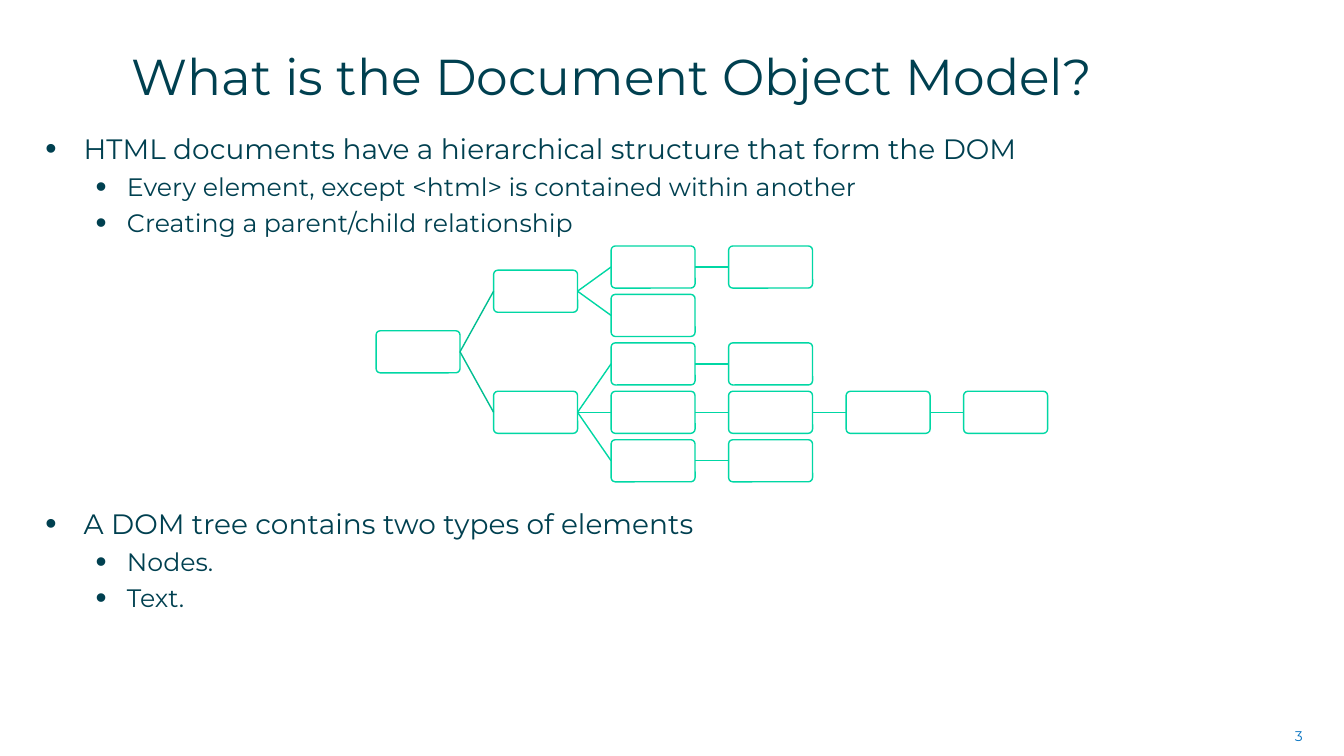
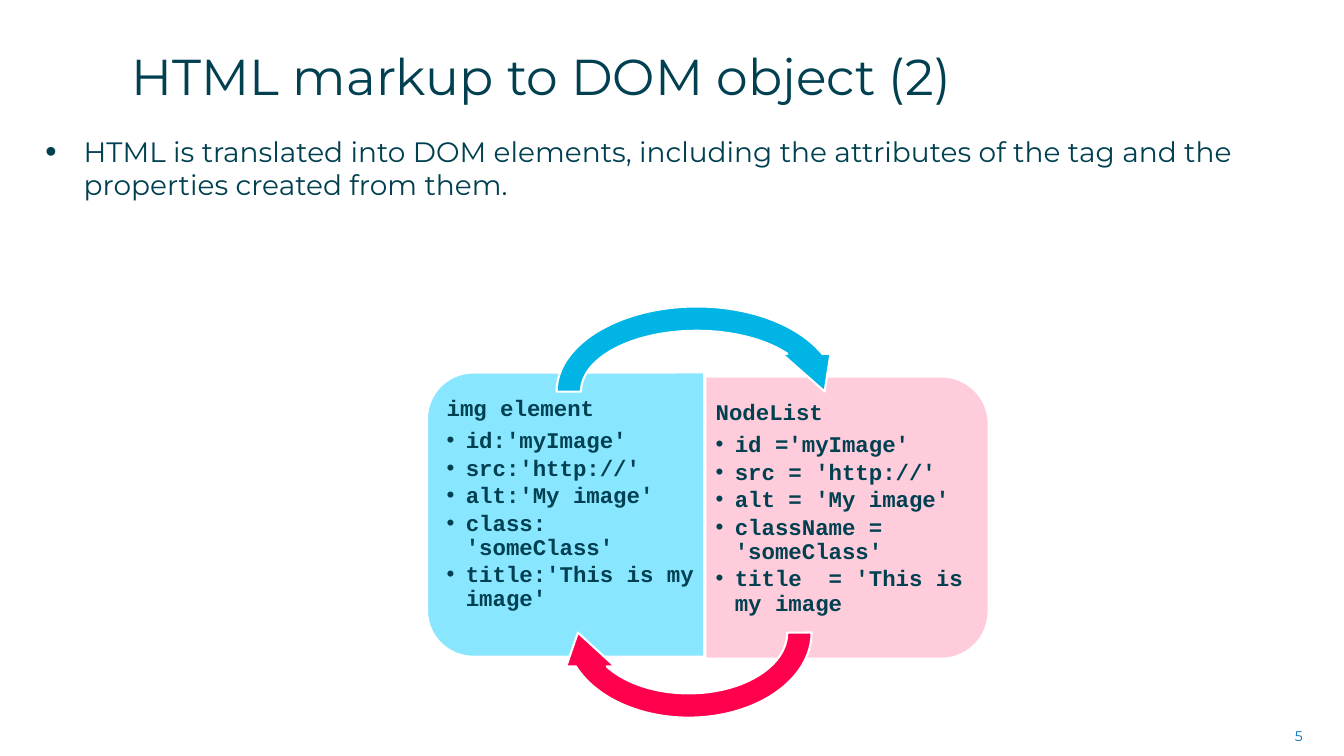
from dataclasses import dataclass

from lxml import etree
from pptx import Presentation
from pptx.dml.color import RGBColor
from pptx.enum.shapes import MSO_CONNECTOR, MSO_SHAPE
from pptx.enum.text import MSO_ANCHOR, PP_ALIGN
from pptx.oxml.ns import qn
from pptx.util import Inches, Pt

STRAIGHT = MSO_CONNECTOR.STRAIGHT
ROUNDED = MSO_SHAPE.ROUNDED_RECTANGLE
TWO_ROUNDED = MSO_SHAPE.ROUND_2_SAME_RECTANGLE
CIRCULAR = MSO_SHAPE.CIRCULAR_ARROW
TOP, MIDDLE, BOTTOM = MSO_ANCHOR.TOP, MSO_ANCHOR.MIDDLE, MSO_ANCHOR.BOTTOM
RIGHT = PP_ALIGN.RIGHT
SIDE_LEFT, SIDE_RIGHT = 1, 3


@dataclass(frozen=True)
class Theme:
    ink: str = "004050"
    number: str = "0070C0"
    white: str = "FFFFFF"
    node: str = "00D7A4"
    root_link: str = "00BE91"
    sky: str = "89E6FF"
    pink: str = "FFCCDB"
    blue: str = "00B5E5"
    red: str = "FF004C"
    sans: str = "Montserrat"
    mono: str = "Courier New"
    bullet: str = "Arial"


T = Theme()
SLIDE_W, SLIDE_H = 13.33, 7.5
TITLE_BOX = (1.21, 0.41, 11.72, 0.69)
BODY_BOX = (0.45, 1.33, 12.47, 5.75)
NUMBER_BOX = (9.91, 7.1, 3.11, 0.4)

# Text styles: font and paragraph values, and (size %, left, hanging) of the bullet
STYLES = {
    "title": {"font": {"name": T.sans, "size": Pt(36)}, "color": T.ink,
              "para": {"line_spacing": Pt(42)}},
    "number": {"font": {"name": T.sans, "size": Pt(10)}, "color": T.number,
               "para": {"alignment": RIGHT}},
    "point": {"font": {"name": T.sans, "size": Pt(20)}, "color": T.ink,
              "para": {"line_spacing": Pt(22), "space_before": Pt(6),
                       "space_after": Pt(6)},
              "bullet": (115, 0.38, 0.38)},
    "subpoint": {"font": {"name": T.sans, "size": Pt(18)}, "color": T.ink,
                 "para": {"level": 1, "line_spacing": Pt(14),
                          "space_before": Pt(6), "space_after": Pt(6)},
                 "bullet": (125, 0.81, 0.31)},
    "card_head": {"font": {"name": T.mono, "size": Pt(16), "bold": True},
                  "color": T.ink,
                  "para": {"line_spacing": 0.9, "space_after": Pt(5.6)}},
    "card_item": {"font": {"name": T.mono, "size": Pt(16), "bold": True},
                  "color": T.ink,
                  "para": {"level": 1, "line_spacing": 0.9,
                           "space_after": Pt(2.4)},
                  "bullet": (100, 0.19, 0.19)},
}

# Each node is the list of its children
LEAF = []
HEAD = [[LEAF], LEAF]
BODY = [[LEAF], [[[LEAF]]], [LEAF]]
DOM_TREE = [HEAD, BODY]


def set_all(target, values):
    for name, value in values.items():
        setattr(target, name, value)


def add_bullet(p, color, size, left, hanging):
    pPr = p._p.get_or_add_pPr()
    pPr.set("marL", str(Inches(left)))
    pPr.set("indent", str(-Inches(hanging)))
    clr = etree.SubElement(pPr, qn("a:buClr"))
    etree.SubElement(clr, qn("a:srgbClr")).set("val", color)
    etree.SubElement(pPr, qn("a:buSzPct")).set("val", str(size * 1000))
    etree.SubElement(pPr, qn("a:buFont")).set("typeface", T.bullet)
    etree.SubElement(pPr, qn("a:buChar")).set("char", "•")


def add_text(slide, box, lines, anchor=TOP, insets=(0.1, 0.05, 0.1, 0.05)):
    """lines holds (style, text) or (style, text, changed paragraph values)."""
    tf = slide.shapes.add_textbox(*map(Inches, box)).text_frame
    set_all(tf, {"word_wrap": True, "vertical_anchor": anchor})
    sides = ("margin_left", "margin_top", "margin_right", "margin_bottom")
    set_all(tf, dict(zip(sides, map(Inches, insets))))
    for i, (name, text, *changes) in enumerate(lines):
        style = STYLES[name]
        p = tf.add_paragraph() if i else tf.paragraphs[0]
        set_all(p, style["para"])
        for change in changes:
            set_all(p, change)
        if "bullet" in style:
            add_bullet(p, style["color"], *style["bullet"])
        r = p.add_run()
        r.text = text
        set_all(r.font, style["font"])
        r.font.color.rgb = RGBColor.from_string(style["color"])


def add_shape(slide, kind, box, fill, line, width, adjust, rotation=0):
    sp = slide.shapes.add_shape(kind, *map(Inches, box))
    sp.shadow.inherit = False
    sp.fill.solid()
    sp.fill.fore_color.rgb = RGBColor.from_string(fill)
    sp.line.color.rgb = RGBColor.from_string(line)
    sp.line.width = Pt(width)
    sp.rotation = rotation
    for i, value in enumerate(adjust):
        sp.adjustments[i] = value
    return sp


def add_link(slide, parent, child, color):
    link = slide.shapes.add_connector(STRAIGHT, 0, 0, 0, 0)
    link.begin_connect(parent, SIDE_RIGHT)
    link.end_connect(child, SIDE_LEFT)
    link.line.color.rgb = RGBColor.from_string(color)
    link.line.width = Pt(1)
    etree.SubElement(link._element.spPr, qn("a:effectLst"))


def add_frame(prs, title, number, body):
    """Blank slide with the shared title, body text and slide number."""
    slide = prs.slides.add_slide(prs.slide_layouts[6])
    add_text(slide, NUMBER_BOX, [("number", number)], MIDDLE)
    add_text(slide, BODY_BOX, body, insets=(0, 0, 0, 0))
    add_text(slide, TITLE_BOX, [("title", title)], BOTTOM)
    return slide


def count_leaves(node):
    return sum(map(count_leaves, node)) or 1


def count_levels(node):
    return 1 + max(map(count_levels, node), default=0)


def add_tree(slide, box, root):
    """Leaves fill the rows; each parent sits midway between its children."""
    x, y, w, h = box
    col_pitch, row_pitch = 1.4, 1.15
    node_w = w / (col_pitch * (count_levels(root) - 1) + 1)
    node_h = h / (row_pitch * (count_leaves(root) - 1) + 1)

    def add_branch(node, col, first_row):
        branches, row = [], first_row
        for child in node:
            branches.append(add_branch(child, col + 1, row))
            row += count_leaves(child)
        rows = [r for _, r in branches] or [first_row]
        mid = (rows[0] + rows[-1]) / 2
        place = (x + col * col_pitch * node_w, y + mid * row_pitch * node_h,
                 node_w, node_h)
        sp = add_shape(slide, ROUNDED, place, T.white, T.node, 1, [0.1])
        for child_sp, _ in branches:
            add_link(slide, sp, child_sp, T.node if col else T.root_link)
        return sp, mid

    add_branch(root, 0, 0)


def add_card(slide, box, fill, rotation, text_box, insets, head, items):
    """Panel turned sideways, so its rounded corners face outwards."""
    add_shape(slide, TWO_ROUNDED, box, fill, T.white, 1.5, [0.167, 0], rotation)
    lines = [("card_head", head)] + [("card_item", item) for item in items]
    add_text(slide, text_box, lines, insets=insets)


def add_exchange(slide, box):
    """Two cards side by side with an arrow above and one below."""
    x, y, w, h = box
    half = w / 2
    add_card(slide, (x, y, 2.82, 2.75), T.sky, 270,
             (x + 0.16, y + 0.1, 2.62, 2.55), (0.07, 0.11, 0.1, 0.11),
             "img element",
             ["id:'myImage'", "src:'http://'", "alt:'My image'",
              "class: 'someClass'", "title:'This is my image'"])
    add_card(slide, (x + half, y, 2.8, 2.81), T.pink, 90,
             (x + half, y + 0.14, 2.67, 2.52), (0.1, 0.11, 0.07, 0.11),
             "NodeList",
             ["id ='myImage'", "src = 'http://'", "alt = 'My image'",
              "className = 'someClass'", "title  = 'This is my image"])
    arrows = [((x + 1.2, y - 0.81, 3.02, 1.93), T.blue, 0),
              ((x + 1.29, y + h - 1.23, 2.68, 1.93), T.red, 180)]
    for place, color, rotation in arrows:
        add_shape(slide, CIRCULAR, place, color, T.white, 1.5,
                  [0.125, 11.423, 204.577, 108, 0.125], rotation)


def build_dom_slide(prs):
    slide = add_frame(prs, "What is the Document Object Model?", "3", [
        ("point", "HTML documents have a hierarchical structure that form the DOM"),
        ("subpoint", "Every element, except <html> is contained within another"),
        ("subpoint", "Creating a parent/child relationship"),
        ("point", "A DOM tree contains two types of elements",
         {"space_before": Pt(188)}),
        ("subpoint", "Nodes."),
        ("subpoint", "Text."),
    ])
    add_tree(slide, (3.73, 2.44, 6.66, 2.34), DOM_TREE)


def build_markup_slide(prs):
    slide = add_frame(prs, "HTML markup to DOM object (2)", "5", [
        ("point", "HTML is translated into DOM elements, including the "
         "attributes of the tag and the properties created from them.",
         {"line_spacing": None}),
    ])
    add_exchange(slide, (4.2, 3.73, 5.6, 2.81))


def main():
    prs = Presentation()
    prs.slide_width, prs.slide_height = Inches(SLIDE_W), Inches(SLIDE_H)
    build_dom_slide(prs)
    build_markup_slide(prs)
    prs.save("out.pptx")


if __name__ == "__main__":
    main()
